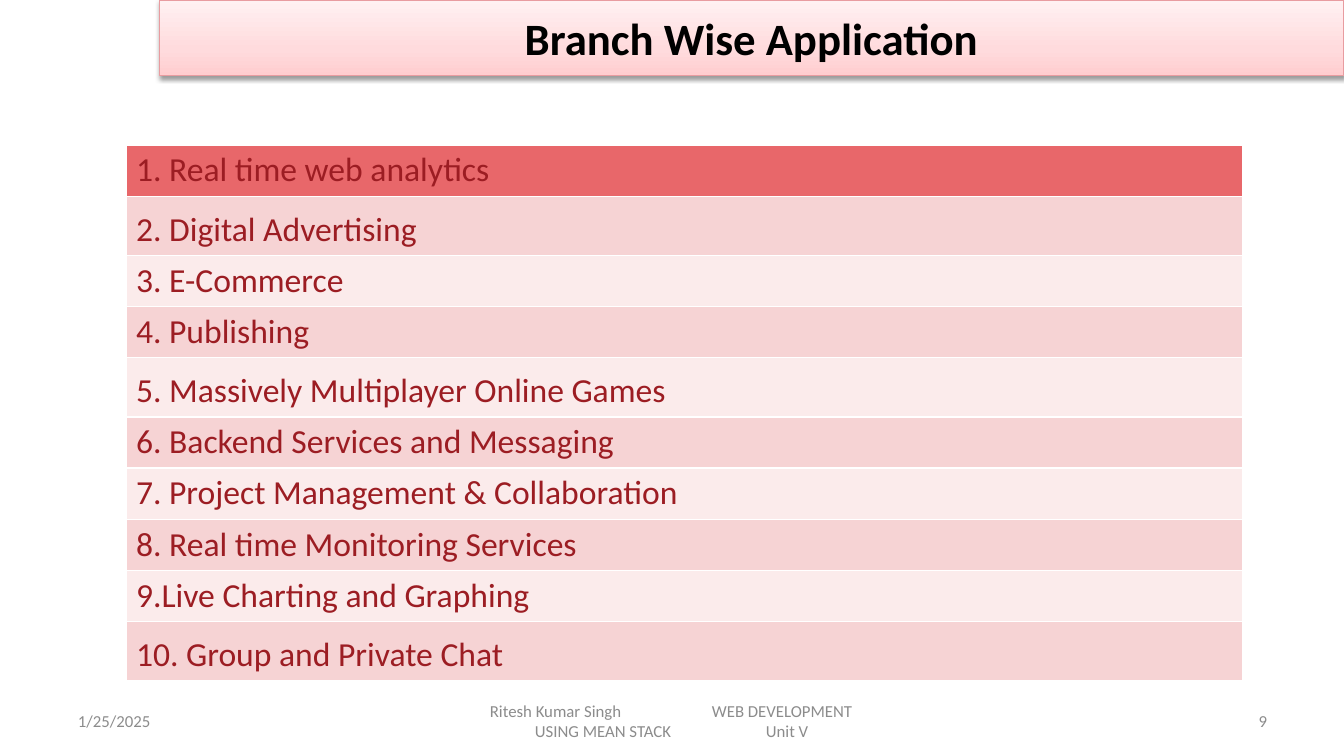
"""Build the Branch Wise Application slide with its numbered table."""
from lxml import etree
from pptx import Presentation
from pptx.dml.color import RGBColor
from pptx.enum.text import MSO_ANCHOR, PP_ALIGN
from pptx.oxml import parse_xml
from pptx.oxml.ns import nsdecls, qn
from pptx.util import Emu, Pt

LEFT, CENTER, RIGHT = PP_ALIGN.LEFT, PP_ALIGN.CENTER, PP_ALIGN.RIGHT
MIDDLE = MSO_ANCHOR.MIDDLE
BLACK = RGBColor(0x00, 0x00, 0x00)
GREY = RGBColor(0x8C, 0x8C, 0x8C)
DARK_RED = RGBColor(0x9C, 0x1D, 0x23)
TITLE_LINE = RGBColor(0xE8, 0x9C, 0xA0)
HEADER_FILL = RGBColor(0xE8, 0x67, 0x6A)
BANDS = [RGBColor(0xFB, 0xEB, 0xEB), RGBColor(0xF6, 0xD3, 0xD4)]
FONT = "Calibri"
ROW, TALL_ROW = 51, 59
TALL_ITEMS = (1, 4, 9)
ITEMS = [
    "1. Real time web analytics",
    "2. Digital Advertising",
    "3. E-Commerce",
    "4. Publishing",
    "5. Massively Multiplayer Online Games",
    "6. Backend Services and Messaging",
    "7. Project Management & Collaboration",
    "8. Real time Monitoring Services",
    "9.Live Charting and Graphing",
    "10. Group and Private Chat",
]
FOOTERS = [
    (68, 313, LEFT, [("1/25/2025", ())]),
    (460, 425, LEFT, [("\tRitesh Kumar Singh\tWEB DEVELOPMENT", (20, 242)),
                      ("\tUSING MEAN STACK\tUnit V", (65, 296))]),
    (964, 313, RIGHT, [("9", ())]),
]


def px(n):
    return Emu(round(n * 914400 / 100.8))


def style(p, size, color, bold=False):
    for r in p.runs:
        r.font.name = FONT
        r.font.size = Pt(size)
        r.font.bold = bold
        r.font.color.rgb = color


prs = Presentation()
prs.slide_width, prs.slide_height = px(1344), px(756)
s = prs.slides.add_slide(prs.slide_layouts[5])

title = s.shapes.title
title.left, title.top, title.width, title.height = px(159), px(0), px(1185), px(76)
spPr = title._element.spPr
spPr.append(parse_xml(
    f'<a:gradFill {nsdecls("a")} rotWithShape="1"><a:gsLst>'
    '<a:gs pos="0"><a:srgbClr val="FFCDCF"/></a:gs>'
    '<a:gs pos="35000"><a:srgbClr val="FFDBDD"/></a:gs>'
    '<a:gs pos="100000"><a:srgbClr val="FFF1F2"/></a:gs>'
    '</a:gsLst><a:lin ang="16200000" scaled="1"/></a:gradFill>'))
spPr.append(parse_xml(
    f'<a:effectLst {nsdecls("a")}>'
    '<a:outerShdw blurRad="40000" dist="20000" dir="5400000" rotWithShape="0">'
    '<a:srgbClr val="000000"><a:alpha val="38000"/></a:srgbClr>'
    '</a:outerShdw></a:effectLst>'))
title.line.color.rgb = TITLE_LINE
title.line.width = Pt(0.75)
tf = title.text_frame
tf.text = "Branch Wise Application"
tf.vertical_anchor = MIDDLE
tf.paragraphs[0].alignment = CENTER
style(tf.paragraphs[0], 32, BLACK, True)

heights = [TALL_ROW if i in TALL_ITEMS else ROW for i in range(len(ITEMS))]
table = s.shapes.add_table(len(ITEMS), 1, px(126), px(145), px(1117), px(sum(heights))).table
for i, item in enumerate(ITEMS):
    table.rows[i].height = px(heights[i])
    cell = table.cell(i, 0)
    cell.text = item
    p = cell.text_frame.paragraphs[0]
    if i in TALL_ITEMS:
        p.line_spacing = 1.2
    style(p, 24, DARK_RED)
    tcPr = cell._tc.get_or_add_tcPr()
    for side in ("lnL", "lnR", "lnT", "lnB"):
        tcPr.append(parse_xml(
            f'<a:{side} {nsdecls("a")} w="12700"><a:solidFill>'
            f'<a:srgbClr val="FFFFFF"/></a:solidFill></a:{side}>'))
    cell.fill.solid()
    cell.fill.fore_color.rgb = BANDS[i % 2] if i else HEADER_FILL

for left, width, align, lines in FOOTERS:
    tf = s.shapes.add_textbox(px(left), px(701), px(width), px(40)).text_frame
    tf.word_wrap = True
    tf.vertical_anchor = MIDDLE
    for i, (text, stops) in enumerate(lines):
        p = tf.add_paragraph() if i else tf.paragraphs[0]
        p.text = text
        p.alignment = align
        if stops:
            tabs = etree.SubElement(p._p.get_or_add_pPr(), qn("a:tabLst"))
            for stop in stops:
                etree.SubElement(tabs, qn("a:tab"), pos=str(px(stop)), algn="l")
        style(p, 12, GREY)

prs.save("out.pptx")
